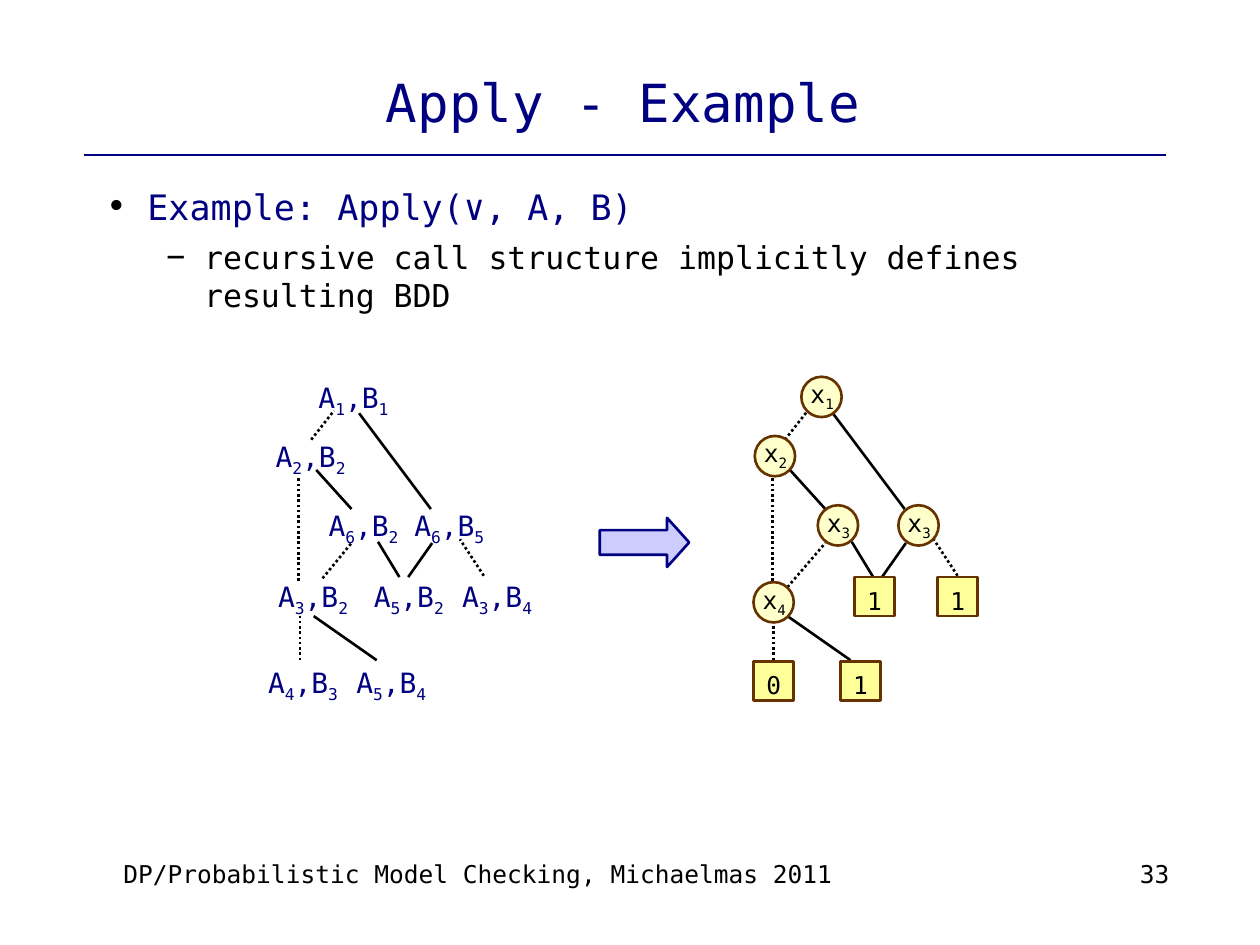
from itertools import groupby

from lxml.etree import SubElement
from pptx import Presentation
from pptx.dml.color import RGBColor
from pptx.enum.dml import MSO_LINE
from pptx.enum.shapes import MSO_CONNECTOR, MSO_SHAPE
from pptx.enum.text import MSO_ANCHOR, PP_ALIGN
from pptx.oxml.ns import qn
from pptx.util import Inches, Pt

NAVY, BLACK, BROWN = "000080", "000000", "663300"
COLUMNS, ROWS = 100, 75
RESULT_SHIFT = 37.6

# Edges are (x1, y1, x2, y2, dotted) in grid cells.
SHARED_EDGES = [
    (28.5, 32.8, 34.2, 40.4, False), (24.7, 34.9, 26.5, 32.6, True),
    (23.7, 46.1, 23.7, 37.8, True), (25.1, 37.3, 27.9, 40.4, False),
    (30, 43, 31.7, 45.8, False), (24.9, 48.9, 29.9, 52.4, False),
    (34.3, 43.1, 32.4, 45.8, False), (38.4, 45.7, 36.5, 42.8, True),
]
CALL_EDGES = [(25.6, 45.9, 27.9, 43.1, True), (23.8, 52.4, 23.8, 48.9, True)]
RESULT_EDGES = [(62.5, 46.6, 65.5, 43.1, True), (61.4, 52.4, 61.4, 49.4, True)]

CALL_ROWS = [
    (29.7, [(23.3, "A1,B1")]),
    (34.4, [(19.9, "A2,B2")]),
    (39.9, [(24.1, "A6,B2"), (30.9, "A6,B5")]),
    (45.5, [(20.1, "A3,B2"), (27.7, "A5,B2"), (34.7, "A3,B4")]),
    (52.3, [(19.3, "A4,B3"), (26.3, "A5,B4")]),
]
VARIABLES = [(63.6, 29.9, "x1"), (59.9, 34.6, "x2"), (64.9, 40.1, "x3"),
             (71.3, 40.1, "x3"), (59.8, 46.2, "x4")]
TERMINALS = [(67.8, 45.8, "1"), (74.4, 45.8, "1"), (59.8, 52.5, "0"), (66.7, 52.5, "1")]


def color(value):
    return RGBColor.from_string(value)


class Sketch:
    """Draws elements of one style on the current slide, placed in grid cells."""

    def __init__(self, deck, font="DejaVu Sans Mono", weight=1.5):
        self.font, self.weight = font, Pt(weight)
        self.cell_width = deck.slide_width / COLUMNS
        self.cell_height = deck.slide_height / ROWS
        self.page = deck.slides.add_slide(deck.slide_layouts[6])

    def place(self, *cells):
        sizes = (self.cell_width, self.cell_height) * 2
        return [round(cell * size) for cell, size in zip(cells, sizes)]

    def frame(self, area, inset=(0, 0)):
        frame = self.page.shapes.add_textbox(*self.place(*area)).text_frame
        frame.word_wrap = True
        frame.margin_left = frame.margin_right = Inches(inset[0])
        frame.margin_top = frame.margin_bottom = Inches(inset[1])
        return frame

    def style(self, span, size, ink):
        span.font.name, span.font.size = self.font, Pt(size)
        span.font.color.rgb = color(ink)

    def text(self, area, words, size, ink, align=PP_ALIGN.LEFT, spacing=0.96):
        frame = self.frame(area)
        frame.text = words
        para = frame.paragraphs[0]
        para.alignment, para.line_spacing = align, spacing
        self.style(para.runs[0], size, ink)
        return frame

    def label(self, area, words, size, ink):
        para = self.frame(area, (0.1, 0.05)).paragraphs[0]
        para.alignment = PP_ALIGN.CENTER
        for index, (_, letters) in enumerate(groupby(words, str.isdigit)):
            span = para.add_run()
            span.text = "".join(letters)
            self.style(span, size, ink)
            if index % 2:
                span.font._element.set("baseline", "-25000")

    def bullets(self, area, items):
        frame = self.frame(area)
        frame.text = "\n".join(item[0] for item in items)
        for level, (para, item) in enumerate(zip(frame.paragraphs, items)):
            _, mark, margin, indent, size, ink = item
            para.level = level
            para.space_before = Pt(6 if level else 0)
            properties = para._p.get_or_add_pPr()
            properties.set("marL", str(Inches(margin)))
            properties.set("indent", str(Inches(indent)))
            tint = SubElement(properties, qn("a:buClr"))
            SubElement(tint, qn("a:srgbClr")).set("val", BLACK)
            SubElement(properties, qn("a:buFont")).set("typeface", self.font)
            SubElement(properties, qn("a:buChar")).set("char", mark)
            self.style(para.runs[0], size, ink)

    def shape(self, kind, area, fill, outline):
        shape = self.page.shapes.add_shape(kind, *self.place(*area))
        shape.shadow.inherit = False
        shape.fill.solid()
        shape.fill.fore_color.rgb = color(fill)
        shape.line.color.rgb = color(outline)
        shape.line.width = self.weight
        return shape

    def variable(self, x, y, name):
        self.shape(MSO_SHAPE.OVAL, (x, y, 3.2, 3.2), "FFFFCC", BROWN)
        self.label((x - 1.1, y - 0.3, 5.5, 3.7), name, 14, BLACK)

    def terminal(self, x, y, value):
        self.shape(MSO_SHAPE.RECTANGLE, (x, y, 3.2, 3.1), "FFFF99", BROWN)
        self.label((x, y + 0.2, 3.2, 3.4), value, 14, BLACK)

    def line(self, x1, y1, x2, y2, dotted=False, ink=BLACK):
        ends = self.place(x1, y1, x2, y2)
        line = self.page.shapes.add_connector(MSO_CONNECTOR.STRAIGHT, *ends)
        SubElement(line._element.spPr, qn("a:effectLst"))
        line.line.color.rgb = color(ink)
        line.line.width = self.weight
        if dotted:
            line.line.dash_style = MSO_LINE.ROUND_DOT


def main():
    deck = Presentation()
    deck.slide_width, deck.slide_height = Inches(10), Inches(7.5)
    sketch = Sketch(deck)

    sketch.line(6.7, 12.3, 92.5, 12.3, ink=NAVY)
    sketch.text((76.7, 68.3, 16.1, 5.2), "33", 14, BLACK, PP_ALIGN.RIGHT)
    sketch.text((9.8, 68.3, 58.3, 5.2),
                "DP/Probabilistic Model Checking, Michaelmas 2011", 14, BLACK)
    title = sketch.text((6.8, 3.7, 85.3, 8.6), "Apply - Example", 30, NAVY,
                        PP_ALIGN.CENTER, 1.04)
    title.vertical_anchor = MSO_ANCHOR.MIDDLE
    sketch.bullets((7.3, 14.7, 85.3, 52), [
        ("Example: Apply(∨, A, B)", "•", 0.44, -0.33, 20, NAVY),
        ("recursive call structure implicitly defines resulting BDD",
         "−", 0.89, -0.3, 18, BLACK),
    ])

    for x1, y1, x2, y2, dotted in SHARED_EDGES:
        sketch.line(x1, y1, x2, y2, dotted)
        sketch.line(x1 + RESULT_SHIFT, y1, x2 + RESULT_SHIFT, y2, dotted)
    for edge in CALL_EDGES + RESULT_EDGES:
        sketch.line(*edge)

    for y, calls in CALL_ROWS:
        for x, pair in calls:
            sketch.label((x, y, 9.5, 4.1), pair, 16, NAVY)
    for node in VARIABLES:
        sketch.variable(*node)
    for node in TERMINALS:
        sketch.terminal(*node)

    arrow = sketch.shape(MSO_SHAPE.RIGHT_ARROW, (47.6, 41.1, 7.1, 3.9), "CCCCFF", NAVY)
    arrow.adjustments[1] = 0.45
    deck.save("out.pptx")


if __name__ == "__main__":
    main()
